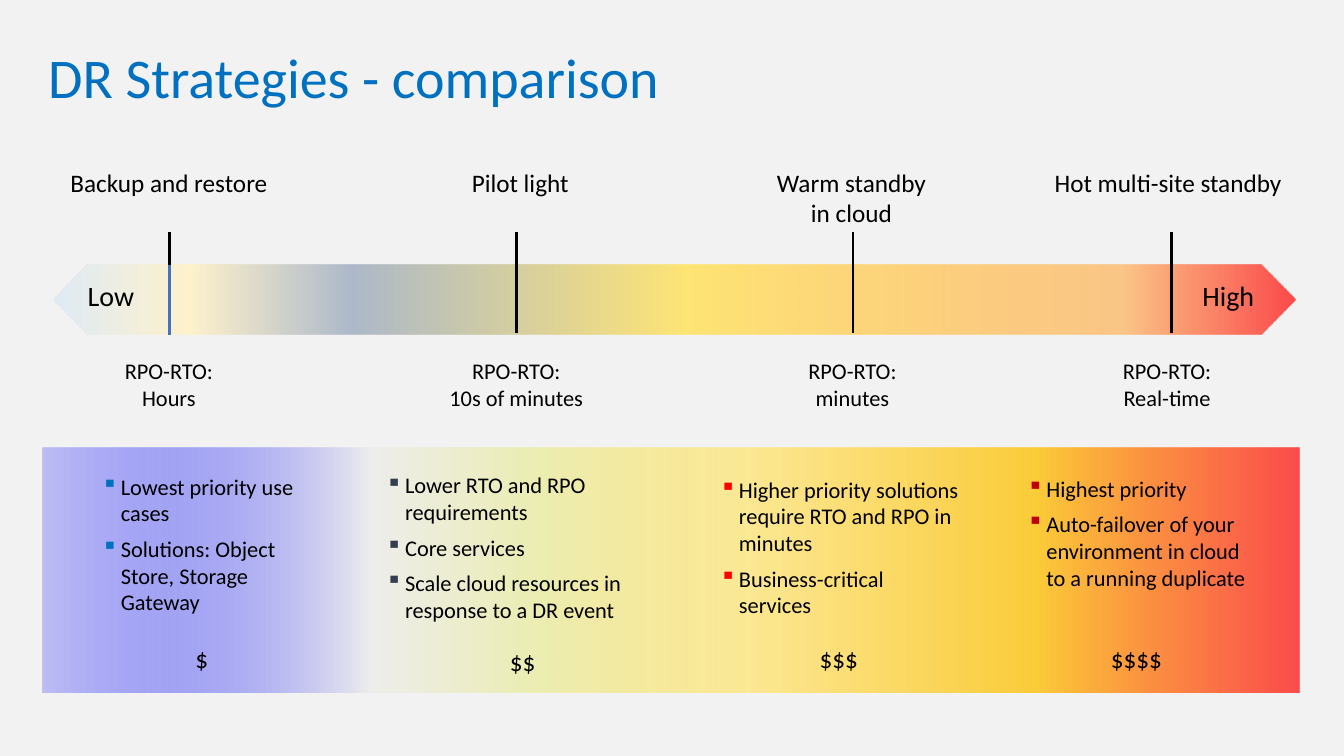
from dataclasses import dataclass

from lxml import etree
from pptx import Presentation
from pptx.dml.color import RGBColor
from pptx.enum.shapes import MSO_CONNECTOR, MSO_SHAPE
from pptx.enum.text import MSO_ANCHOR, PP_ALIGN
from pptx.oxml.ns import qn
from pptx.util import Inches, Pt

LEFT, CENTER, RIGHT = PP_ALIGN.LEFT, PP_ALIGN.CENTER, PP_ALIGN.RIGHT
TOP, MIDDLE = MSO_ANCHOR.TOP, MSO_ANCHOR.MIDDLE
STRAIGHT = MSO_CONNECTOR.STRAIGHT
RECTANGLE, ARROW = MSO_SHAPE.RECTANGLE, MSO_SHAPE.LEFT_RIGHT_ARROW


@dataclass(frozen=True)
class Theme:
    font: str = "Calibri"
    background: str = "F2F2F2"
    title: str = "0070C0"
    text: str = "000000"
    marker: str = "4472C4"
    title_size: int = 40
    end_size: int = 20
    label_size: int = 18
    body_size: int = 16
    line_width: int = 2
    # Gradient stops: position %, colour, opacity %
    arrow_stops: tuple = (
        (0, "DEEBF7", 100), (11, "FFF2CC", 100), (24, "ADB9CA", 100),
        (51, "FFE575", 100), (86, "FFB65E", 72), (100, "FF0002", 69))
    panel_stops: tuple = (
        (0, "0000FF", 21), (26, "EDEDED", 100), (39, "EBEDB3", 100),
        (56, "FFE575", 74), (79, "FFC000", 76), (100, "FF0000", 68))


THEME = Theme()

# Tick x, then (x, width, text) of the name above and of the target below;
# all x are measured from the left end of the arrow.
STRATEGIES = [
    (1.15, (-0.16, 2.61, "Backup and restore"), (0.45, 1.39, "RPO-RTO:\vHours")),
    (4.59, (3.46, 2.34, "Pilot light"), (3.63, 1.92, "RPO-RTO:\v10s of minutes")),
    (7.93, (6.68, 2.47, "Warm standby\vin cloud"), (7.21, 1.43, "RPO-RTO:\vminutes")),
    (11.09, (9.8, 2.51, "Hot multi-site standby"), (10.23, 1.63, "RPO-RTO:\vReal-time")),
]

# List x, y, width, bullet colour, items; then cost x, y, width, text;
# all places are measured from the top left of the panel.
DETAILS = [
    (0.49, 0.2, 2.19, "0070C0",
     ["Lowest priority use cases", "Solutions: Object Store, Storage Gateway"],
     (1.42, 1.89, 0.33, "$")),
    (3.31, 0.19, 2.94, "333F50",
     ["Lower RTO and RPO requirements", "Core services",
      "Scale cloud resources in response to a DR event"],
     (4.54, 1.92, 0.46, "$$")),
    (6.62, 0.23, 2.58, "FF0000",
     ["Higher priority solutions require RTO and RPO in minutes",
      "Business-critical services"],
     (7.61, 1.89, 0.6, "$$$")),
    (9.67, 0.22, 2.4, "C00000",
     ["Highest priority",
      "Auto-failover of your environment in cloud to a running duplicate"],
     (10.5, 1.89, 0.74, "$$$$")),
]


def add_bullet(p, color):
    pPr = p._p.get_or_add_pPr()
    pPr.set("marL", str(Inches(0.19)))
    pPr.set("indent", str(-Inches(0.19)))
    clr = etree.SubElement(pPr, qn("a:buClr"))
    etree.SubElement(clr, qn("a:srgbClr"), val=color)
    etree.SubElement(pPr, qn("a:buChar"), char="▪")


def add_text(s, x, y, w, h, *items, size=THEME.body_size, color=THEME.text,
             align=LEFT, anchor=TOP, inset=(0.1, 0.05), wrap=True,
             spacing=None, after=None, bullet=None):
    """Add a text box with one paragraph per item; a vertical tab breaks a line."""
    tf = s.shapes.add_textbox(Inches(x), Inches(y), Inches(w), Inches(h)).text_frame
    tf.word_wrap = wrap
    tf.vertical_anchor = anchor
    tf.margin_left = tf.margin_right = Inches(inset[0])
    tf.margin_top = tf.margin_bottom = Inches(inset[1])
    for i, item in enumerate(items):
        p = tf.add_paragraph() if i else tf.paragraphs[0]
        p.text = item
        p.alignment = align
        if spacing:
            p.line_spacing = spacing
        if after:
            p.space_after = Pt(after)
        if bullet:
            add_bullet(p, bullet)
        for r in p.runs:
            r.font.name = THEME.font
            r.font.size = Pt(size)
            r.font.color.rgb = RGBColor.from_string(color)
        for br in p._p.findall(qn("a:br")):
            etree.SubElement(br, qn("a:rPr"), sz=str(size * 100))


def add_gradient_shape(s, kind, x, y, w, h, stops):
    sp = s.shapes.add_shape(kind, Inches(x), Inches(y), Inches(w), Inches(h))
    sp.shadow.inherit = False
    sp.line.fill.background()
    sp.fill.gradient()
    sp.fill.gradient_angle = 0
    gs_list = sp._element.spPr.find(qn("a:gradFill")).find(qn("a:gsLst"))
    for gs in list(gs_list):
        gs_list.remove(gs)
    for position, color, opacity in stops:
        gs = etree.SubElement(gs_list, qn("a:gs"), pos=str(position * 1000))
        clr = etree.SubElement(gs, qn("a:srgbClr"), val=color)
        if opacity < 100:
            etree.SubElement(clr, qn("a:alpha"), val=str(opacity * 1000))
    return sp


def add_tick(s, x, top, bottom, color):
    line = s.shapes.add_connector(STRAIGHT, Inches(x), Inches(bottom), Inches(x), Inches(top))
    line.line.color.rgb = RGBColor.from_string(color)
    line.line.width = Pt(THEME.line_width)
    etree.SubElement(line._element.spPr, qn("a:effectLst"))


def add_title(s, x, y, w, h):
    add_text(s, x, y, w, h, "DR Strategies - comparison", size=THEME.title_size,
             color=THEME.title, anchor=MIDDLE, spacing=0.9)


def add_scale(s, x, y, w, h):
    """Add the arrow in the given box, with ticks and labels above and below it."""
    arrow = add_gradient_shape(s, ARROW, x, y, w, h, THEME.arrow_stops)
    arrow.adjustments[0] = 1
    arrow.adjustments[1] = 0.5
    for dx, width, text, align in ((0.26, 0.88, "Low", LEFT),
                                   (w - 1.37, 1.04, "High", RIGHT)):
        add_text(s, x + dx, y + 0.08, width, 0.44, text, size=THEME.end_size,
                 align=align, inset=(0.08, 0.05))
    for tick, name, target in STRATEGIES:
        add_tick(s, x + tick, y - 0.33, y + 0.67, THEME.text)
        for (dx, width, text), dy, size in ((name, -1.05, THEME.label_size),
                                            (target, 0.83, THEME.body_size)):
            add_text(s, x + dx, y + dy, width, 0.7, text, size=size,
                     align=CENTER, inset=(0.08, 0.08))
    add_tick(s, x + STRATEGIES[0][0], y, y + h, THEME.marker)


def add_panel(s, x, y, w, h):
    """Add the shaded panel with a list and a cost for each strategy."""
    add_gradient_shape(s, RECTANGLE, x, y, w, h, THEME.panel_stops)
    for dx, dy, width, color, items, cost in DETAILS:
        add_text(s, x + dx, y + dy, width, 1.53, *items, after=6, bullet=color)
        cost_dx, cost_dy, cost_width, text = cost
        add_text(s, x + cost_dx, y + cost_dy, cost_width, 0.4, text,
                 size=THEME.label_size, wrap=False)


def main():
    prs = Presentation()
    prs.slide_width, prs.slide_height = Inches(13.33), Inches(7.5)
    s = prs.slides.add_slide(prs.slide_layouts[6])
    s.background.fill.solid()
    s.background.fill.fore_color.rgb = RGBColor.from_string(THEME.background)
    add_title(s, 0.38, 0.31, 12.29, 0.98)
    add_panel(s, 0.42, 4.44, 12.47, 2.43)
    add_scale(s, 0.53, 2.63, 12.32, 0.69)
    prs.save("out.pptx")


if __name__ == "__main__":
    main()
